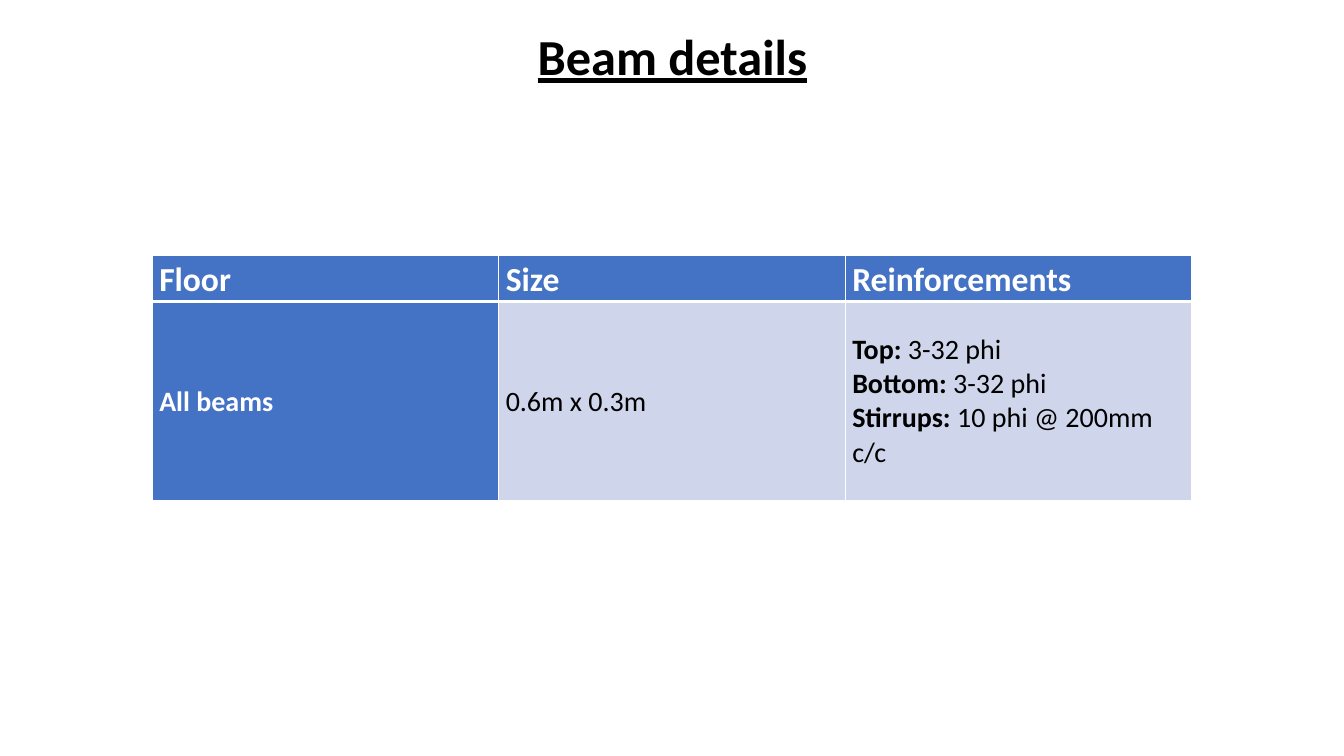
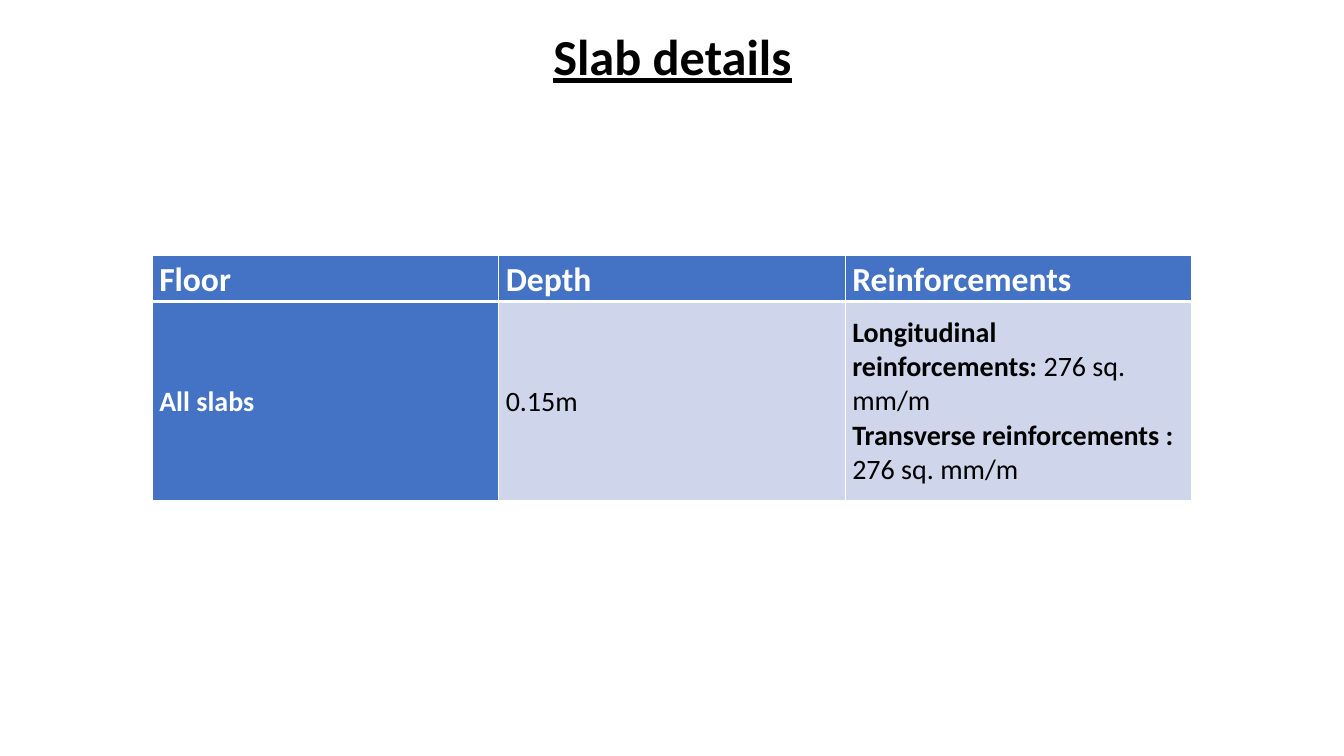
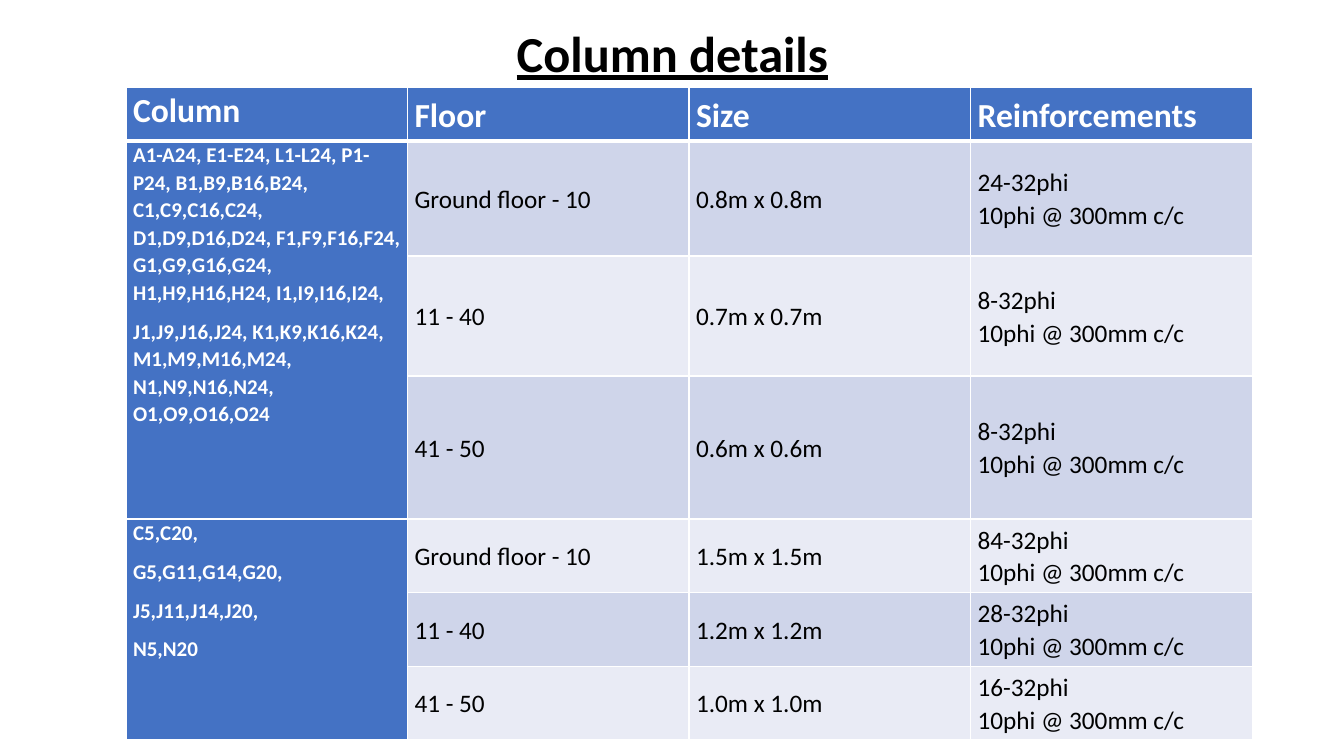
from lxml.etree import SubElement
from pptx import Presentation
from pptx.dml.color import RGBColor
from pptx.enum.text import MSO_ANCHOR, PP_ALIGN
from pptx.oxml.ns import qn
from pptx.util import Inches, Pt

COLORS = {
    "title": "000000",
    "body": "000000",
    "heading": "FFFFFF",
    "border": "FFFFFF",
    "accent": "4472C4",
    "bands": ("E9EBF5", "CFD5EA"),
}
FONT = "Calibri"
TITLE_SIZE, HEADER_SIZE = 36, 24
TITLE_FORMAT = {"alignment": PP_ALIGN.CENTER, "line_spacing": 0.9}
CELL_FORMAT = {"line_spacing": 1.07, "space_after": Pt(8)}
LABELLED_FORMAT = {"line_spacing": 1.0, "space_after": Pt(0)}
CELL_MARGINS = {
    "margin_left": Inches(0.07),
    "margin_right": Inches(0.07),
    "margin_top": 0,
    "margin_bottom": 0,
}
THIN, THICK = 1, 3

TIES = "10phi @ 300mm c/c"
EDGE_COLUMNS = [
    "A1-A24, E1-E24, L1-L24, P1-P24, B1,B9,B16,B24, C1,C9,C16,C24, "
    "D1,D9,D16,D24, F1,F9,F16,F24, G1,G9,G16,G24, H1,H9,H16,H24, I1,I9,I16,I24,",
    "J1,J9,J16,J24, K1,K9,K16,K24, M1,M9,M16,M24, N1,N9,N16,N24, O1,O9,O16,O24",
]
CORE_COLUMNS = ["C5,C20,", "G5,G11,G14,G20,", "J5,J11,J14,J20,", "N5,N20"]

# A cell lists its paragraphs; a (label, value) paragraph has a bold label.
# None continues the cell above.
SMALL_TABLE = {
    "title_box": (0.92, 0.02, 11.5, 1.14),
    "table_box": (1.51, 2.53, 10.31, 2.44),
    "row_heights": (0.46, 1.98),
    "name_size": 20,
    "body_size": 20,
    "name_anchor": MSO_ANCHOR.MIDDLE,
}
LARGE_TABLE = {
    "title_box": (0.92, -0.17, 11.5, 1.45),
    "table_box": (1.25, 0.87, 11.17, 6.48),
    "row_heights": (0.53, 1.14, 1.19, 1.42, 0.73, 0.73, 0.73),
    "name_size": 15,
    "body_size": 18,
    "name_anchor": MSO_ANCHOR.TOP,
}
SLIDES = [
    ("Beam details", SMALL_TABLE, [
        (["Floor"], ["Size"], ["Reinforcements"]),
        (["All beams"], ["0.6m x 0.3m"], [
            ("Top: ", "3-32 phi"),
            ("Bottom: ", "3-32 phi"),
            ("Stirrups: ", "10 phi @ 200mm c/c"),
        ]),
    ]),
    ("Slab details", SMALL_TABLE, [
        (["Floor"], ["Depth"], ["Reinforcements"]),
        (["All slabs"], ["0.15m"], [
            ("Longitudinal reinforcements: ", "276 sq. mm/m"),
            ("Transverse reinforcements : ", "276 sq. mm/m"),
        ]),
    ]),
    ("Column details", LARGE_TABLE, [
        (["Column"], ["Floor"], ["Size"], ["Reinforcements"]),
        (EDGE_COLUMNS, ["Ground floor - 10"], ["0.8m x 0.8m"], [f"24-32phi\n{TIES}"]),
        (None, ["11 - 40"], ["0.7m x 0.7m"], [f"8-32phi\n{TIES}"]),
        (None, ["41 - 50"], ["0.6m x 0.6m"], [f"8-32phi\n{TIES}"]),
        (CORE_COLUMNS, ["Ground floor - 10"], ["1.5m x 1.5m"], [f"84-32phi\n{TIES}"]),
        (None, ["11 - 40"], ["1.2m x 1.2m"], [f"28-32phi\n{TIES}"]),
        (None, ["41 - 50"], ["1.0m x 1.0m"], [f"16-32phi\n{TIES}"]),
    ]),
]


def apply_format(target, values):
    for name, value in values.items():
        setattr(target, name, value)


def style_span(span, size, color, **values):
    apply_format(span.font, {"name": FONT, "size": Pt(size), **values})
    span.font.color.rgb = RGBColor.from_string(color)


def add_title(page, text, box):
    frame = page.shapes.add_textbox(*map(Inches, box)).text_frame
    apply_format(frame, {"word_wrap": True, "vertical_anchor": MSO_ANCHOR.MIDDLE})
    para = frame.paragraphs[0]
    apply_format(para, TITLE_FORMAT)
    span = para.add_run()
    span.text = text
    style_span(span, TITLE_SIZE, COLORS["title"], bold=True, underline=True)


def set_borders(cell, widths):
    """Draw the left, right, top and bottom lines; call before the fill is set."""
    properties = cell._tc.get_or_add_tcPr()
    for side, width in zip("LRTB", widths):
        line = SubElement(properties, qn(f"a:ln{side}"), w=str(Pt(width)))
        fill = SubElement(line, qn("a:solidFill"))
        SubElement(fill, qn("a:srgbClr"), val=COLORS["border"])


def write_cell(cell, paragraphs, size, color, bold):
    frame = cell.text_frame
    for index, content in enumerate(paragraphs):
        para = frame.add_paragraph() if index else frame.paragraphs[0]
        if isinstance(content, tuple):
            apply_format(para, LABELLED_FORMAT)
            for text, is_label in zip(content, (True, False)):
                span = para.add_run()
                span.text = text
                style_span(span, size, color, bold=is_label)
        else:
            apply_format(para, CELL_FORMAT)
            para.text = content
            for span in para.runs:
                style_span(span, size, color, bold=bold)


def add_detail_table(page, rows, layout):
    column_count = len(rows[0])
    box = map(Inches, layout["table_box"])
    table = page.shapes.add_table(len(rows), column_count, *box).table
    for column in table.columns:
        column.width = Inches(layout["table_box"][2] / column_count)
    for row, height in zip(table.rows, layout["row_heights"]):
        row.height = Inches(height)

    name_cell = None
    for r, contents in enumerate(rows):
        for c, paragraphs in enumerate(contents):
            cell = table.cell(r, c)
            is_header, is_name = r == 0, c == 0
            emphasized = is_header or is_name
            top = THICK if r == 1 else THIN
            bottom = THICK if is_header else THIN
            set_borders(cell, (THIN, THIN, top, bottom))
            cell.fill.solid()
            fill = COLORS["accent"] if emphasized else COLORS["bands"][r % 2]
            cell.fill.fore_color.rgb = RGBColor.from_string(fill)
            anchor = layout["name_anchor"] if is_name else MSO_ANCHOR.MIDDLE
            apply_format(cell, {"vertical_anchor": anchor, **CELL_MARGINS})
            if paragraphs is None:
                continue
            size = layout["name_size"] if is_name else layout["body_size"]
            color = COLORS["heading"] if emphasized else COLORS["body"]
            write_cell(cell, paragraphs, HEADER_SIZE if is_header else size,
                       color, emphasized)

    starts = [r for r, contents in enumerate(rows) if contents[0] is not None]
    for start, end in zip(starts, starts[1:] + [len(rows)]):
        if end - start > 1:
            name_cell = table.cell(start, 0)
            name_cell.merge(table.cell(end - 1, 0))


def main():
    deck = Presentation()
    deck.slide_width, deck.slide_height = Inches(13.33), Inches(7.5)
    for title, layout, rows in SLIDES:
        page = deck.slides.add_slide(deck.slide_layouts[6])
        add_title(page, title, layout["title_box"])
        add_detail_table(page, rows, layout)
    deck.save("out.pptx")


if __name__ == "__main__":
    main()
